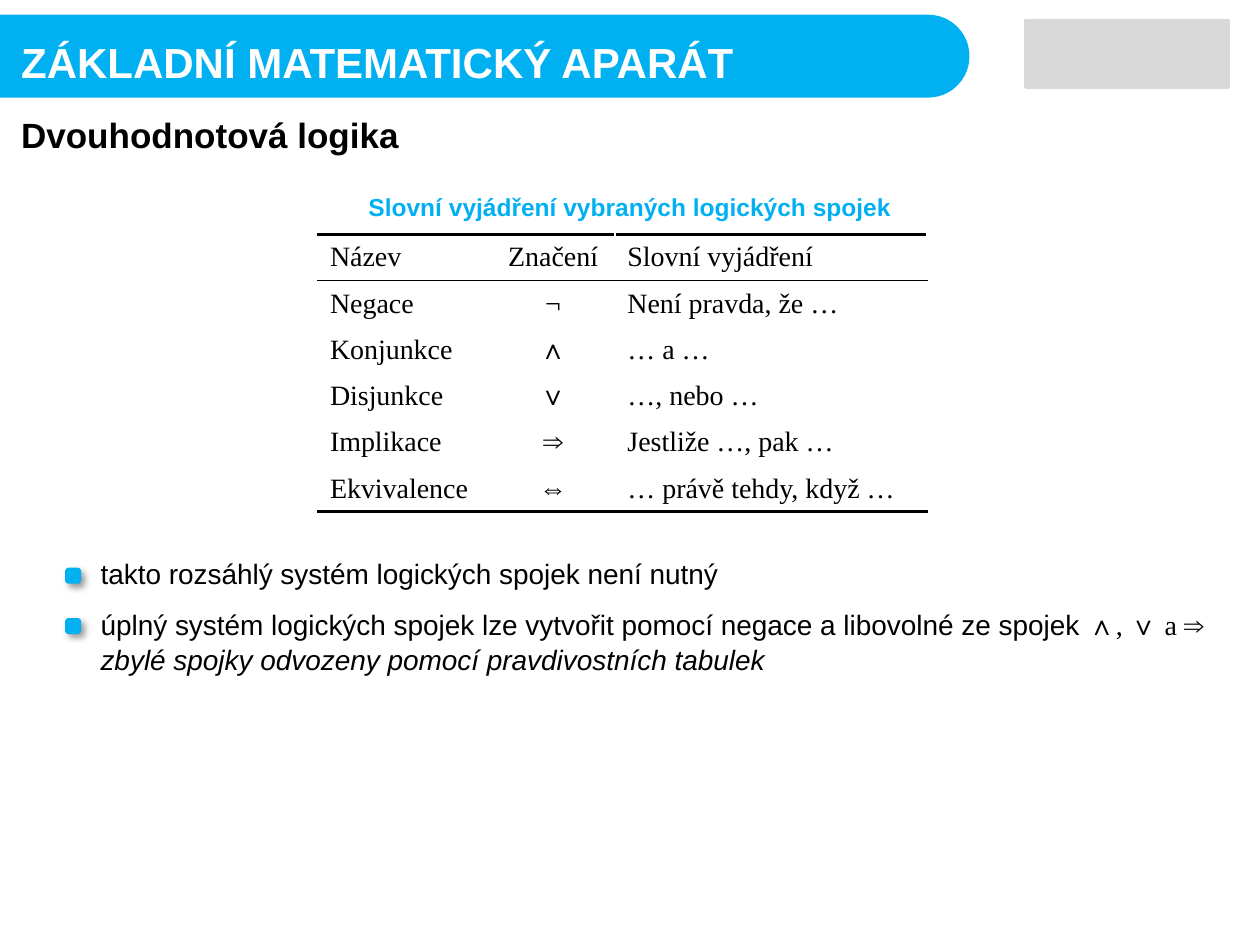
from dataclasses import dataclass

from lxml import etree
from pptx import Presentation
from pptx.dml.color import RGBColor
from pptx.enum.shapes import MSO_SHAPE
from pptx.enum.text import MSO_ANCHOR, PP_ALIGN
from pptx.oxml.ns import qn
from pptx.util import Pt

LEFT, CENTER = PP_ALIGN.LEFT, PP_ALIGN.CENTER
TOP, MIDDLE = MSO_ANCHOR.TOP, MSO_ANCHOR.MIDDLE
ROUNDED, RECTANGLE = MSO_SHAPE.ROUNDED_RECTANGLE, MSO_SHAPE.RECTANGLE
SANS, SERIF = "Arial", "Times New Roman"
BLUE, BLACK, WHITE, GREY = "00B0F0", "000000", "FFFFFF", "D9D9D9"


@dataclass
class Box:
    x: float
    y: float
    w: float
    h: float

    def emu(self) -> tuple:
        return Pt(self.x), Pt(self.y), Pt(self.w), Pt(self.h)


@dataclass
class Bullet:
    text: str
    y: float
    width: float
    symbols: str = ""


ROWS = [
    ("Název", "Značení", "Slovní vyjádření"),
    ("Negace", "¬", "Není pravda, že …"),
    ("Konjunkce", "∧", "… a …"),
    ("Disjunkce", "∨", "…, nebo …"),
    ("Implikace", "⇒", "Jestliže …, pak …"),
    ("Ekvivalence", "⇔", "… právě tehdy, když …"),
]
COLUMN_WIDTHS = [99.4, 70.6, 178.5]
ROW_HEIGHT = 26.4

BULLETS = [
    Bullet("takto rozsáhlý systém logických spojek není nutný", 314.6, 525),
    Bullet("úplný systém logických spojek lze vytvořit pomocí negace "
           "a libovolné ze spojek ", 343.4, 669.6, "∧, ∨ a ⇒"),
]


def rgb(color: str) -> RGBColor:
    return RGBColor.from_string(color)


def add_run(p, text: str, *, size=16, font=SANS, color=BLACK,
            bold=False, italic=False):
    r = p.add_run()
    r.text = text
    r.font.size = Pt(size)
    r.font.name = font
    r.font.bold = bold
    r.font.italic = italic
    r.font.color.rgb = rgb(color)


def add_text(s, box: Box, text: str, *, align=LEFT, anchor=MIDDLE,
             wrap=True, **run_format):
    """Add a one-paragraph text box and return its paragraph."""
    tf = s.shapes.add_textbox(*box.emu()).text_frame
    tf.word_wrap = wrap
    tf.vertical_anchor = anchor
    p = tf.paragraphs[0]
    p.alignment = align
    add_run(p, text, **run_format)
    return p


def add_block(s, kind, box: Box, color: str):
    sp = s.shapes.add_shape(kind, *box.emu())
    sp.shadow.inherit = False
    sp.fill.solid()
    sp.fill.fore_color.rgb = rgb(color)
    sp.line.color.rgb = rgb(color)
    sp.line.width = Pt(2)
    return sp


def add_color(parent, color: str):
    return etree.SubElement(parent, qn("a:srgbClr"), val=color)


def add_shadow(sp):
    effects = sp._element.spPr.find(qn("a:effectLst"))
    shadow = etree.SubElement(
        effects, qn("a:outerShdw"), blurRad=str(Pt(4)), dist=str(Pt(3)),
        dir=str(45 * 60000), algn="tl", rotWithShape="0")
    etree.SubElement(add_color(shadow, BLACK), qn("a:alpha"), val="40000")


def set_border(cell, side: str, color: str | None, width: float = 1):
    ln = etree.SubElement(cell._tc.get_or_add_tcPr(), qn(f"a:ln{side}"),
                          w=str(Pt(width)))
    if color is None:
        etree.SubElement(ln, qn("a:noFill"))
    else:
        add_color(etree.SubElement(ln, qn("a:solidFill")), color)


def horizontal_rule(edge: int) -> tuple[str, float]:
    """Colour and width of the rule above row number edge."""
    if edge in (0, len(ROWS)):
        return BLACK, 2.25
    return (BLACK if edge == 1 else WHITE), 1


def add_logic_table(s, x: float, y: float):
    box = Box(x, y, sum(COLUMN_WIDTHS), ROW_HEIGHT * len(ROWS))
    table = s.shapes.add_table(len(ROWS), len(COLUMN_WIDTHS), *box.emu()).table
    table.first_row = table.horz_banding = False
    for column, width in zip(table.columns, COLUMN_WIDTHS):
        column.width = Pt(width)
    for i, texts in enumerate(ROWS):
        table.rows[i].height = Pt(ROW_HEIGHT)
        for j, text in enumerate(texts):
            cell = table.cell(i, j)
            cell.vertical_anchor = MIDDLE
            p = cell.text_frame.paragraphs[0]
            p.alignment = CENTER if j == 1 else LEFT
            add_run(p, text, font=SERIF)
            set_border(cell, "L", WHITE if j == 2 else None)
            set_border(cell, "R", WHITE if j > 0 else None)
            set_border(cell, "T", *horizontal_rule(i))
            set_border(cell, "B", *horizontal_rule(i + 1))
            cell.fill.background()


def add_bullet(s, bullet: Bullet):
    p = add_text(s, Box(50.4, bullet.y, bullet.width, 26.6), bullet.text)
    if bullet.symbols:
        add_run(p, bullet.symbols, font=SERIF)
    marker = add_block(s, ROUNDED, Box(38.2, bullet.y + 10.8, 7.2, 7.2), BLUE)
    add_shadow(marker)


def main():
    prs = Presentation()
    prs.slide_width, prs.slide_height = Pt(720), Pt(540)
    s = prs.slides.add_slide(prs.slide_layouts[6])

    add_block(s, RECTANGLE, Box(586, 12, 116, 38), GREY)
    title_bar = add_block(s, ROUNDED, Box(-25.2, 9.4, 578.2, 45.4), BLUE)
    title_bar.adjustments[0] = 0.5
    add_text(s, Box(5, 17.3, 425.5, 36), "ZÁKLADNÍ MATEMATICKÝ APARÁT",
             anchor=TOP, wrap=False, size=24, color=WHITE, bold=True)
    add_text(s, Box(5, 61.2, 422.6, 31.7), "Dvouhodnotová logika",
             size=20, bold=True)
    add_text(s, Box(0, 105.8, 720, 24.5),
             "Slovní vyjádření vybraných logických spojek",
             align=CENTER, size=14, color=BLUE, bold=True)
    add_logic_table(s, 181.4, 133.9)
    for bullet in BULLETS:
        add_bullet(s, bullet)
    add_text(s, Box(50.4, 363.6, 655.2, 26.6),
             "zbylé spojky odvozeny pomocí pravdivostních tabulek", italic=True)

    prs.save("out.pptx")


if __name__ == "__main__":
    main()
